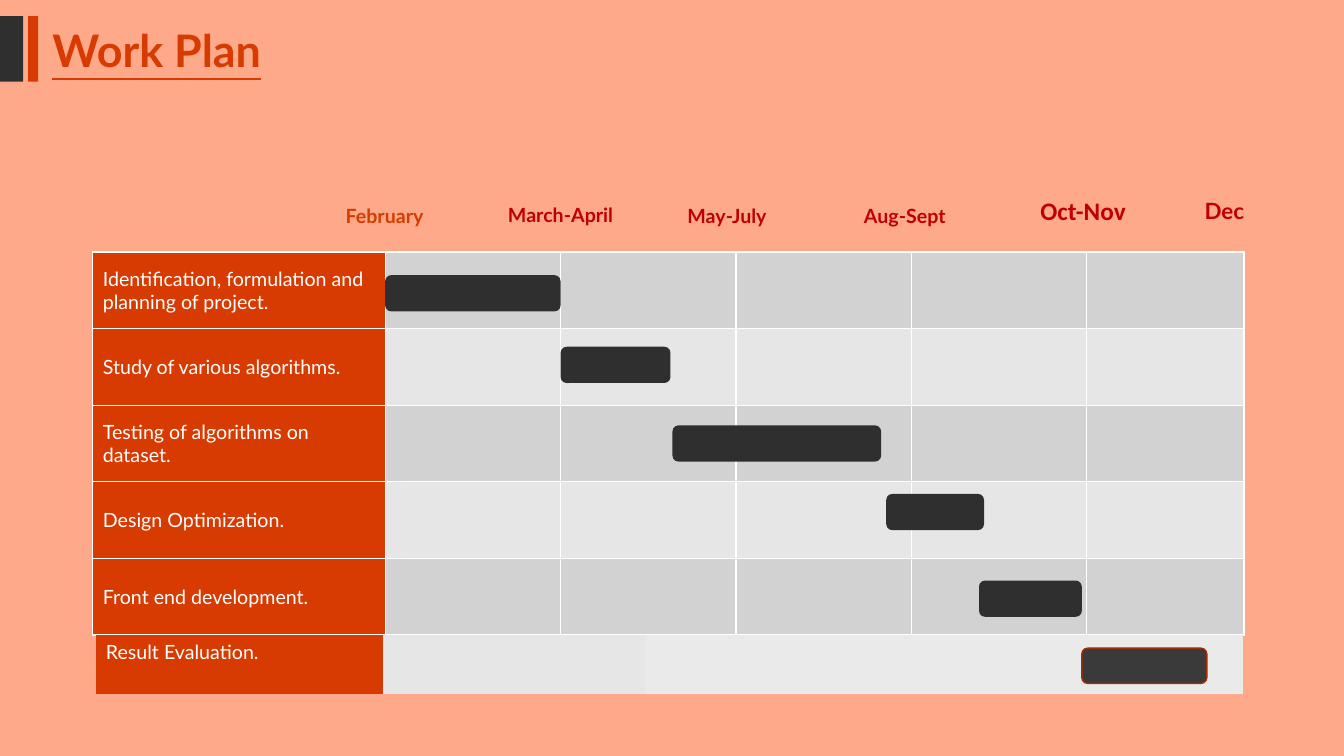
from dataclasses import dataclass

from lxml import etree
from pptx import Presentation
from pptx.dml.color import RGBColor
from pptx.enum.shapes import MSO_SHAPE
from pptx.enum.text import MSO_ANCHOR, PP_ALIGN
from pptx.oxml.ns import qn
from pptx.util import Inches, Pt


@dataclass(frozen=True)
class Theme:
    """Colours, fonts and type sizes of the slide."""
    background: str = "FEAA8A"
    accent: str = "D83B01"
    month: str = "C00000"
    dark: str = "2F2F2F"
    last_bar: str = "3A3A3A"
    last_bar_edge: str = "A02C01"
    white: str = "FFFFFF"
    band_dark: str = "D2D2D2"
    band_light: str = "E6E6E6"
    band_pale: str = "EAEAEA"
    font: str = "Lato"
    alt_font: str = "Calibri"
    title_size: int = 32
    text_size: int = 14
    dec_size: int = 16
    oct_size: int = 18


THEME = Theme()
NO_TABLE_STYLE = "{2D5ABB26-0587-4C30-8999-92F81FD0307C}"

TASKS = ["Identification, formulation and planning of project.",
         "Study of various algorithms.",
         "Testing of algorithms on dataset.",
         "Design Optimization.",
         "Front end development."]
PLAN_COLUMNS = [2.9, 1.74, 1.74, 1.74, 1.74, 1.56]
RESULT_COLUMNS = [2.85, 2.6, 2.04, 2.06, 1.83]

# left, top, width of each task bar
TASK_BARS = [(3.82, 2.73, 1.74), (5.56, 3.44, 1.09), (6.67, 4.22, 2.07),
             (8.79, 4.9, 0.97), (9.71, 5.76, 1.02)]


def rgb(value):
    """Turn a hex string into a colour."""
    return RGBColor.from_string(value)


def write(frame, text, color, size=THEME.text_size, font=THEME.font, bold=False):
    """Put one formatted run into a text frame and return its paragraph."""
    frame.word_wrap = True
    paragraph = frame.paragraphs[0]
    run = paragraph.add_run()
    run.text = text
    run.font.name = font
    run.font.size = Pt(size)
    run.font.bold = bold
    run.font.color.rgb = rgb(color)
    return paragraph


def set_title(slide, text):
    """Place and format the title placeholder."""
    title = slide.shapes.title
    title.left, title.top = Inches(0.42), Inches(0.27)
    title.width, title.height = Inches(6.67), Inches(0.54)
    title.text_frame.vertical_anchor = MSO_ANCHOR.MIDDLE
    paragraph = write(title.text_frame, text, THEME.accent, THEME.title_size, bold=True)
    paragraph.alignment = PP_ALIGN.LEFT
    paragraph.line_spacing = 0.8
    paragraph.runs[0].font.underline = True


def add_block(slide, kind, left, top, width, height, fill, edge=None):
    """Add a filled preset shape, outlined only when an edge colour is given."""
    shape = slide.shapes.add_shape(
        kind, Inches(left), Inches(top), Inches(width), Inches(height))
    shape.shadow.inherit = False
    shape.fill.solid()
    shape.fill.fore_color.rgb = rgb(fill)
    if edge:
        shape.line.color.rgb = rgb(edge)
        shape.line.width = Pt(1)
    else:
        shape.line.fill.background()
    return shape


def add_month(slide, text, left, top, width, height=0.34, color=THEME.month,
              align=PP_ALIGN.LEFT, **style):
    """Add a bold month heading."""
    box = slide.shapes.add_textbox(
        Inches(left), Inches(top), Inches(width), Inches(height))
    write(box.text_frame, text, color, bold=True, **style).alignment = align


def border_cell(cell, color):
    """Draw a one-point line on all four sides of a cell."""
    properties = cell._tc.get_or_add_tcPr()
    for side in ("lnL", "lnR", "lnT", "lnB"):
        line = etree.SubElement(properties, qn(f"a:{side}"), w=str(Pt(1)))
        fill = etree.SubElement(line, qn("a:solidFill"))
        etree.SubElement(fill, qn("a:srgbClr"), val=color)


def add_task_table(slide, left, top, columns, row_height, rows, anchor, border=None):
    """Add a table whose rows are (task, fills of the cells after it)."""
    frame = slide.shapes.add_table(
        len(rows), len(columns), Inches(left), Inches(top),
        Inches(sum(columns)), Inches(row_height * len(rows)))
    table = frame.table
    table.first_row = table.horz_banding = False
    table._tbl.tblPr.find(qn("a:tableStyleId")).text = NO_TABLE_STYLE
    for column, width in zip(table.columns, columns):
        column.width = Inches(width)
    for row, (task, fills) in zip(table.rows, rows):
        row.height = Inches(row_height)
        for cell, fill in zip(row.cells, [THEME.accent, *fills]):
            if border:
                border_cell(cell, border)
            cell.fill.solid()
            cell.fill.fore_color.rgb = rgb(fill)
        write(row.cells[0].text_frame, task, THEME.white)
        row.cells[0].vertical_anchor = anchor


def main():
    """Build the work plan slide."""
    prs = Presentation()
    prs.slide_width, prs.slide_height = Inches(13.33), Inches(7.5)
    slide = prs.slides.add_slide(prs.slide_layouts[5])
    slide.background.fill.solid()
    slide.background.fill.fore_color.rgb = rgb(THEME.background)

    set_title(slide, "Work Plan")
    add_block(slide, MSO_SHAPE.RECTANGLE, 0, 0.16, 0.23, 0.65, THEME.dark)
    add_block(slide, MSO_SHAPE.RECTANGLE, 0.28, 0.16, 0.1, 0.65, THEME.accent)

    bands = (THEME.band_dark, THEME.band_light)
    plan_rows = [(task, [bands[i % 2]] * 5) for i, task in enumerate(TASKS)]
    add_task_table(slide, 0.92, 2.5, PLAN_COLUMNS, 0.76, plan_rows,
                   MSO_ANCHOR.MIDDLE, THEME.white)
    result_row = ("Result Evaluation.", [THEME.band_light] + [THEME.band_pale] * 3)
    add_task_table(slide, 0.95, 6.3, RESULT_COLUMNS, 0.59, [result_row], MSO_ANCHOR.TOP)

    for left, top, width in TASK_BARS:
        add_block(slide, MSO_SHAPE.ROUNDED_RECTANGLE, left, top, width, 0.36, THEME.dark)
    add_block(slide, MSO_SHAPE.ROUNDED_RECTANGLE, 10.73, 6.43, 1.24, 0.35,
              THEME.last_bar, THEME.last_bar_edge)

    add_month(slide, "February", 3.3, 1.97, 1.03, color=THEME.accent,
              align=PP_ALIGN.CENTER)
    add_month(slide, "March-April", 4.9, 1.96, 1.32, align=PP_ALIGN.CENTER)
    add_month(slide, "May-July", 6.72, 1.97, 1.1)
    add_month(slide, "Aug-Sept", 8.41, 1.97, 1.13, align=PP_ALIGN.CENTER)
    add_month(slide, "Oct-Nov", 10.22, 1.89, 1.13, 0.4,
              size=THEME.oct_size, font=THEME.alt_font)
    add_month(slide, "Dec", 11.85, 1.91, 1.4, 0.37, size=THEME.dec_size)

    prs.save("out.pptx")


main()
